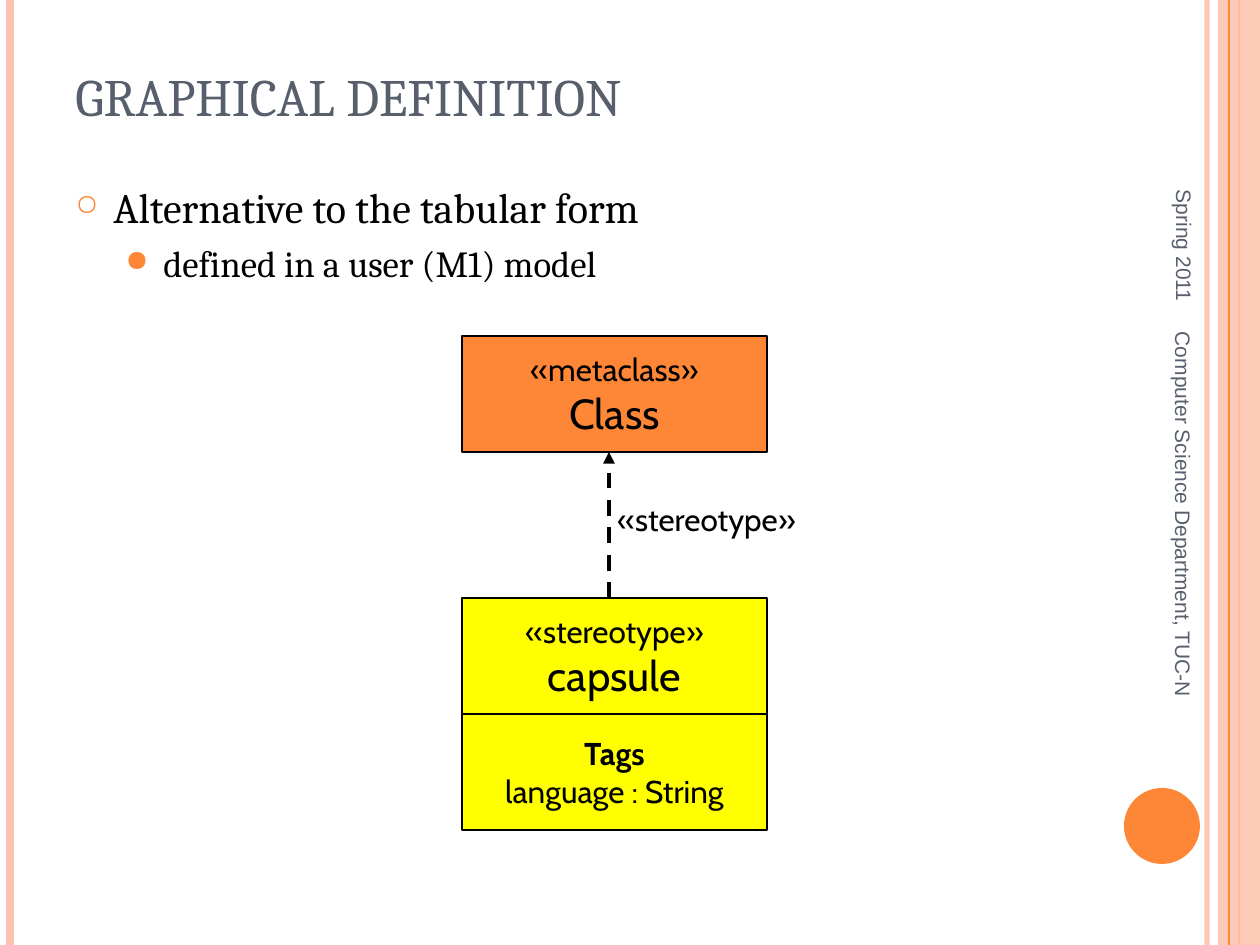
from lxml.etree import SubElement as Sub
from pptx import Presentation
from pptx.dml.color import RGBColor
from pptx.enum.dml import MSO_LINE as Dash
from pptx.enum.shapes import MSO_CONNECTOR as Conn, MSO_SHAPE as Kind
from pptx.enum.text import MSO_ANCHOR as Anchor, PP_ALIGN as Align
from pptx.oxml.ns import qn
from pptx.util import Emu, Pt

SCALE = 914400 / 126
ORANGE, PEACH, YELLOW = "FE8637", "FEC3AE", "FFFF00"
SLATE, BLACK = "575F6D", "000000"


def px(n):
    return Emu(round(n * SCALE))


def paint(fill, color, alpha=100):
    """Make a fill solid, with its opacity in percent."""
    fill.solid()
    fill.fore_color.rgb = RGBColor.from_string(color)
    if alpha < 100:
        for tint in fill._xPr.iter(qn("a:srgbClr")):
            Sub(tint, qn("a:alpha"), val=str(alpha * 1000))


def bullet(para, char, size, left, hang):
    props = para._p.get_or_add_pPr()
    props.set("marL", str(px(left)))
    props.set("indent", str(-px(hang)))
    tint = Sub(props, qn("a:buClr"))
    Sub(tint, qn("a:srgbClr"), val=ORANGE)
    Sub(props, qn("a:buSzPct"), val=str(size * 1000))
    Sub(props, qn("a:buChar"), char=char)


def write(para, text, size=18, font="Cabin", color=BLACK, bold=False,
          align=Align.LEFT, before=0, mark=None, level=0):
    if mark:
        bullet(para, *mark)
    para.level = level
    para.alignment = align
    para.space_before = Pt(before)
    run = para.add_run()
    run.text = text
    run.font.size = Pt(size)
    run.font.name = font
    run.font.bold = bold
    paint(run.font.fill, color)


class Deck:
    """Holds the presentation, its style and the current slide."""

    def __init__(self, wide, high):
        self.show = Presentation()
        self.show.slide_width, self.show.slide_height = px(wide), px(high)
        self.slide = self.show.slides.add_slide(self.show.slide_layouts[6])
        self.shapes = self.slide.shapes

    def line(self, start, end, color, width, alpha=100, dash=None, arrow=False):
        link = self.shapes.add_connector(
            Conn.STRAIGHT, *map(px, start), *map(px, end))
        paint(link.line.fill, color, alpha)
        link.line.width = Pt(width)
        if dash:
            link.line.dash_style = dash
        if arrow:
            Sub(link.line._get_or_add_ln(), qn("a:tailEnd"), type="triangle")
        Sub(link._element.spPr, qn("a:effectLst"))

    def shape(self, kind, box, fill, alpha=100, edge=None):
        item = self.shapes.add_shape(kind, *map(px, box))
        item.shadow.inherit = False
        paint(item.fill, fill, alpha)
        if edge:
            paint(item.line.fill, edge)
            item.line.width = Pt(0.75)
        else:
            item.line.fill.background()
        return item

    def fill_text(self, frame, rows, anchor, wrap):
        """Write rows of (text, format) into a text frame."""
        frame.word_wrap = wrap
        frame.vertical_anchor = anchor
        for i, (text, style) in enumerate(rows):
            para = frame.add_paragraph() if i else frame.paragraphs[0]
            write(para, text, **style)

    def text(self, box, rows, anchor=Anchor.TOP, wrap=True, turn=0, foot=6):
        item = self.shapes.add_textbox(*map(px, box))
        item.rotation = turn
        item.text_frame.margin_bottom = px(foot)
        self.fill_text(item.text_frame, rows, anchor, wrap)

    def node(self, box, fill, rows):
        """Draw a bordered box with centred lines of text."""
        item = self.shape(Kind.RECTANGLE, box, fill, edge=BLACK)
        rows = [(text, dict(style, align=Align.CENTER)) for text, style in rows]
        self.fill_text(item.text_frame, rows, Anchor.MIDDLE, False)


def main():
    wide, high = 1260, 945
    deck = Deck(wide, high)

    def rule(x, color, width, alpha=100):
        deck.line((x, 0), (x, high), color, width, alpha)

    rule(1207, PEACH, 3, 93)
    rule(10, PEACH, 4.5)
    rule(1239, ORANGE, 1.5)
    deck.shape(Kind.RECTANGLE, (1218, 0, wide - 1218, high), PEACH, 87)
    rule(1229, ORANGE, 0.75)
    deck.shape(Kind.OVAL, (1124, 788, 76, 76), ORANGE)

    serif = dict(font="Cambria")
    deck.text((63, 38, 1029, 157),
              [("GRAPHICAL DEFINITION", dict(serif, size=30, color=SLATE))],
              Anchor.BOTTOM, foot=68)
    deck.text((63, 175, 1134, 159), [
        ("Alternative to the tabular form",
         dict(serif, size=24, mark=("○", 70, 38, 38))),
        ("defined in a user (M1) model",
         dict(serif, size=21, before=5.2, level=1, mark=("●", 80, 88, 38))),
    ])

    side = dict(size=12, font="Arial", color=SLATE)
    deck.text((1046, 149, 277, 53),
              [("Spring 2011", dict(side, align=Align.RIGHT))],
              Anchor.MIDDLE, turn=90)
    deck.text((963, 515, 441, 50),
              [("Computer Science Department, TUC-N", side)],
              Anchor.MIDDLE, turn=90)

    left, tall, top, low = 462, 116, 336, 598
    size = (305, tall)
    big = dict(size=24)
    deck.node((left, top, *size), ORANGE, [("«metaclass»", {}), ("Class", big)])
    deck.node((left, low, *size), YELLOW,
              [("«stereotype»", {}), ("capsule", big)])
    deck.node((left, low + tall, *size), YELLOW,
              [("Tags", dict(bold=True)), ("language : String", {})])
    deck.text((605, 494, 215, 50), [("«stereotype»", {})], wrap=False)
    deck.line((609, low), (609, top + tall), BLACK, 2.25,
              dash=Dash.DASH, arrow=True)

    deck.show.save("out.pptx")


if __name__ == "__main__":
    main()
